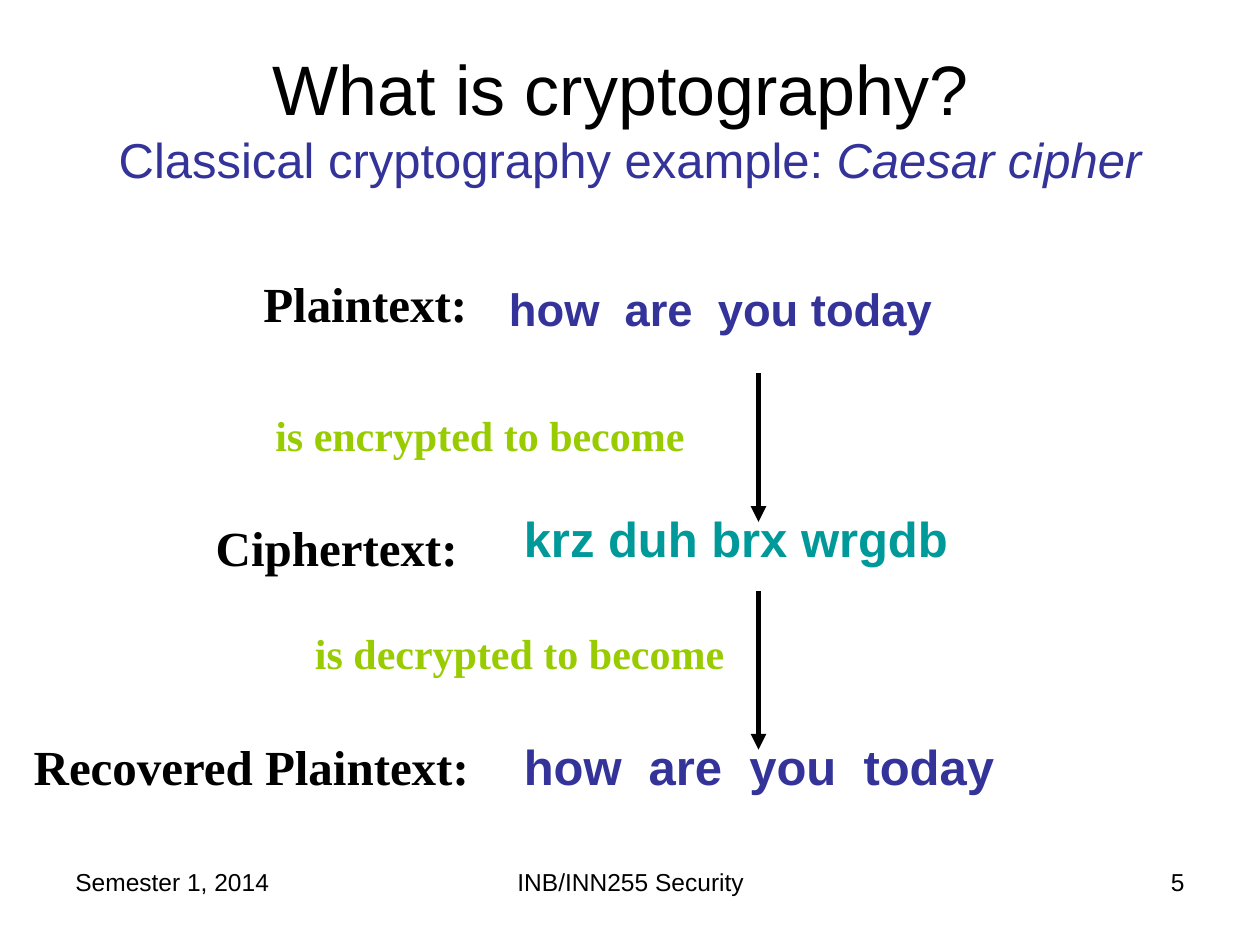
from lxml.etree import SubElement
from pptx import Presentation
from pptx.dml.color import RGBColor
from pptx.enum.shapes import MSO_CONNECTOR as Connector
from pptx.enum.text import MSO_ANCHOR as Anchor, PP_ALIGN as Align
from pptx.oxml.ns import qn
from pptx.util import Cm, Pt

BLACK, BLUE, TEAL, GREEN = "000000", "333399", "009999", "99CC00"

TITLE_FORMAT = {"name": "Arial", "size": Pt(40)}
SUBTITLE_FORMAT = {"name": "Arial", "size": Pt(28)}
MESSAGE_FORMAT = {"name": "Arial", "size": Pt(28), "bold": True}
LABEL_FORMAT = {"name": "Times New Roman", "size": Pt(28), "bold": True}
STEP_FORMAT = {"name": "Times New Roman", "size": Pt(24), "bold": True}
FOOTER_FORMAT = {"name": "Arial", "size": Pt(14)}

TITLE_LINES = [
    [("What is cryptography? ", BLACK, TITLE_FORMAT)],
    [
        ("Classical cryptography example: ", BLUE, SUBTITLE_FORMAT),
        ("Caesar cipher", BLUE, SUBTITLE_FORMAT | {"italic": True}),
    ],
]

TEXTS = [
    ("how  are  you today", BLUE, MESSAGE_FORMAT | {"size": Pt(25.9)}, (10.01, 5.54, 11.5, 1.4)),
    ("krz duh brx wrgdb", TEAL, MESSAGE_FORMAT, (10.31, 10.13, 13.2, 1.45)),
    ("how  are  you  today", BLUE, MESSAGE_FORMAT, (10.31, 14.73, 12.6, 1.45)),
    ("Plaintext:", BLACK, LABEL_FORMAT, (5.06, 5.38, 5.4, 1.45)),
    ("Ciphertext:", BLACK, LABEL_FORMAT, (4.1, 10.31, 5.6, 1.45)),
    ("Recovered Plaintext:", BLACK, LABEL_FORMAT, (0.43, 14.73, 10.9, 1.45)),
    ("is encrypted to become", GREEN, STEP_FORMAT, (5.3, 8.13, 10.39, 1.27)),
    ("is decrypted to become", GREEN, STEP_FORMAT, (6.1, 12.52, 10.39, 1.27)),
]

FOOTERS = [
    ("Semester 1, 2014", Align.LEFT, 1.27, 5.92),
    ("INB/INN255 Security", Align.CENTER, 8.69, 8.05),
    ("5", Align.RIGHT, 18.21, 5.92),
]
FOOTER_TOP, FOOTER_HEIGHT = 17.35, 1.32

ARROW_X = 15.29
ARROW_SPANS = [(7.52, 10.52), (11.91, 15.11)]


def color(value):
    return RGBColor.from_string(value)


def add_text(slide, lines, box, alignment=Align.LEFT, anchor=Anchor.TOP):
    frame = slide.shapes.add_textbox(*map(Cm, box)).text_frame
    frame.word_wrap = True
    frame.vertical_anchor = anchor
    paragraph = frame.paragraphs[0]
    paragraph.alignment = alignment
    for index, line in enumerate(lines):
        if index:
            paragraph.add_line_break()
        for text, fill, font_format in line:
            run = paragraph.add_run()
            run.text = text
            run.font.color.rgb = color(fill)
            for attribute, value in font_format.items():
                setattr(run.font, attribute, value)


def add_arrow(slide, x, top, bottom):
    arrow = slide.shapes.add_connector(Connector.STRAIGHT, Cm(x), Cm(top), Cm(x), Cm(bottom))
    arrow.line.color.rgb = color(BLACK)
    arrow.line.width = Pt(3)
    properties = arrow._element.spPr
    SubElement(properties.find(qn("a:ln")), qn("a:tailEnd"), type="triangle")
    SubElement(properties, qn("a:effectLst"))


def main():
    presentation = Presentation()
    presentation.slide_width, presentation.slide_height = Cm(25.4), Cm(19.05)
    slide = presentation.slides.add_slide(presentation.slide_layouts[6])

    add_text(slide, TITLE_LINES, (1.27, 0.76, 22.86, 3.18), Align.CENTER, Anchor.MIDDLE)
    for text, fill, font_format, box in TEXTS:
        add_text(slide, [[(text, fill, font_format)]], box)
    for top, bottom in ARROW_SPANS:
        add_arrow(slide, ARROW_X, top, bottom)
    for text, alignment, left, width in FOOTERS:
        box = (left, FOOTER_TOP, width, FOOTER_HEIGHT)
        add_text(slide, [[(text, BLACK, FOOTER_FORMAT)]], box, alignment)

    presentation.save("out.pptx")


if __name__ == "__main__":
    main()
